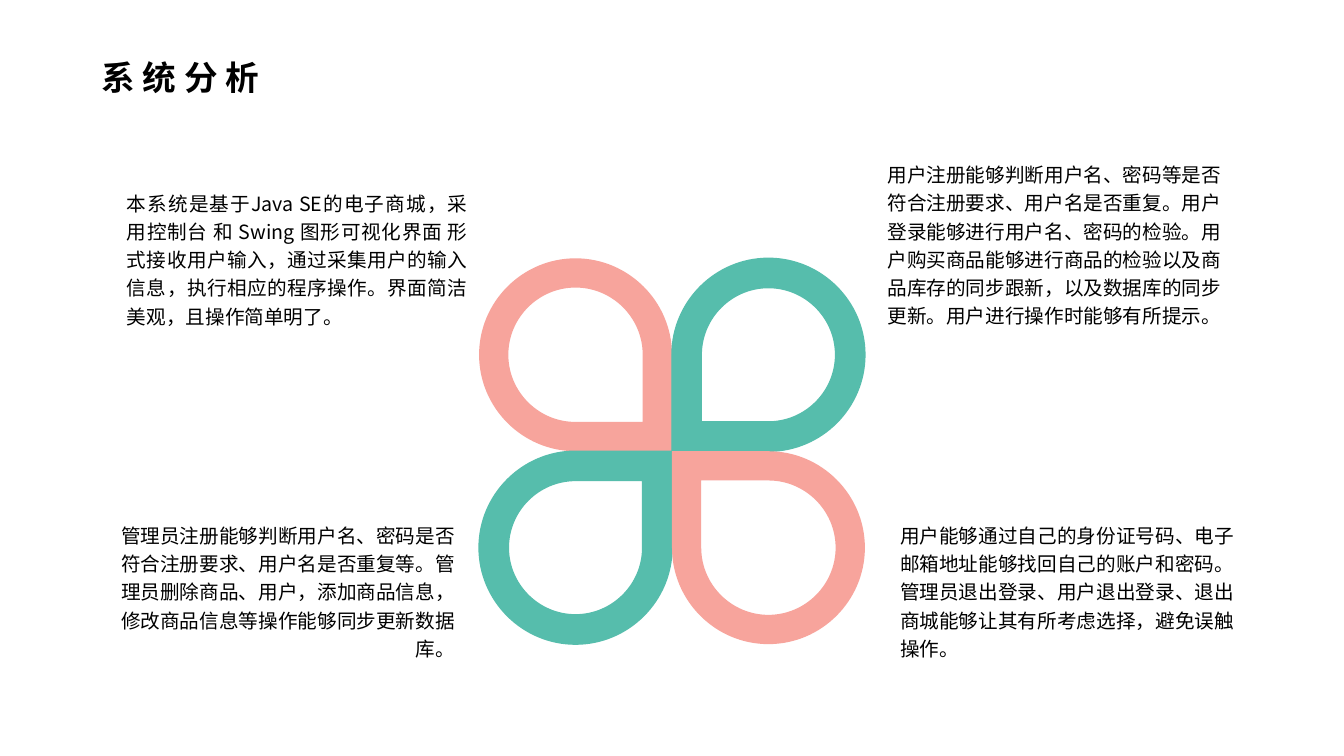
from dataclasses import dataclass

import pptx
import pptx.dml.color
import pptx.enum.shapes
import pptx.enum.text
import pptx.oxml.ns
import pptx.shapes.autoshape
import pptx.slide
import pptx.util
from lxml import etree

Pt = pptx.util.Pt
qn = pptx.oxml.ns.qn
ALIGN = pptx.enum.text.PP_ALIGN
ANCHOR = pptx.enum.text.MSO_ANCHOR
FONT = "Noto Sans CJK SC"
COLORS = {"pink": "F7A49C", "teal": "56BDAC", "text": "000000", "panel": "FFFFFF"}
CENTER_X, CENTER_Y = 480, 322.3
OUTER_RADIUS, INNER_RADIUS = 68.9, 48
# Three quarter arcs, then the corner that faces the centre
DROP_POINTS = [(0, -1), (1, 0), (0, 1), (-1, 0), (-1, -1)]
ARC_COUNT = 3
ARC_HANDLE = 0.55


@dataclass
class Petal:
    dx: int
    dy: int
    color: str
    outlined: bool = False


@dataclass
class TextBlock:
    left: float
    top: float
    width: float
    height: float
    text: str
    align: ALIGN = ALIGN.LEFT
    size: float = 14
    bold: bool = False
    spacing: float = 1.2
    inset_x: float = 8.64
    inset_y: float = 4.32
    anchor: ANCHOR = ANCHOR.TOP


PETALS = [
    Petal(-1, -1, "pink"),
    Petal(1, -1, "teal", outlined=True),
    Petal(-1, 1, "teal", outlined=True),
    Petal(1, 1, "pink"),
]

TEXTS = [
    TextBlock(65.5, 35.3, 317.5, 36.7, "系 统 分 析", size=24, bold=True,
              spacing=1.1, inset_x=7.2, inset_y=3.6, anchor=ANCHOR.MIDDLE),
    TextBlock(82, 129.2, 260.6, 108.7,
              "本系统是基于Java SE的电子商城，采用控制台 和 Swing 图形可视化界面 "
              "形式接收用户输入，通过采集用户的输入信息，执行相应的程序操作。"
              "界面简洁美观，且操作简单明了。", ALIGN.JUSTIFY),
    TextBlock(65.2, 366.5, 268.6, 108.7,
              "管理员注册能够判断用户名、密码是否符合注册要求、用户名是否重复等。"
              "管理员删除商品、用户，添加商品信息，修改商品信息等操作能够同步更新数据库。",
              ALIGN.RIGHT),
    TextBlock(625.2, 108.8, 260.6, 128.9,
              "用户注册能够判断用户名、密码等是否符合注册要求、用户名是否重复。"
              "用户登录能够进行用户名、密码的检验。用户购买商品能够进行商品的检验"
              "以及商品库存的同步跟新，以及数据库的同步更新。用户进行操作时能够有所提示。"),
    TextBlock(634.3, 366.5, 260.6, 108.7,
              "用户能够通过自己的身份证号码、电子邮箱地址能够找回自己的账户和密码。"
              "管理员退出登录、用户退出登录、退出商城能够让其有所考虑选择，避免误触操作。"),
]


def rgb(name: str) -> pptx.dml.color.RGBColor:
    return pptx.dml.color.RGBColor.from_string(COLORS[name])


def paint(sp: pptx.shapes.autoshape.Shape, color: str, outlined: bool) -> None:
    sp.shadow.inherit = False
    sp.fill.solid()
    sp.fill.fore_color.rgb = rgb(color)
    if outlined:
        sp.line.color.rgb = rgb(color)
        sp.line.width = Pt(1)
    else:
        sp.line.fill.background()


def drop_outline(petal: Petal, radius: float) -> list[tuple[int, int]]:
    x = CENTER_X + petal.dx * OUTER_RADIUS
    y = CENTER_Y + petal.dy * OUTER_RADIUS
    return [(Pt(x + petal.dx * radius * u), Pt(y + petal.dy * radius * v))
            for u, v in DROP_POINTS]


def round_arcs(sp: pptx.shapes.autoshape.Shape) -> None:
    """Turn the first segments of each contour into quarter arcs."""
    for move in list(sp._element.iter(qn("a:moveTo"))):
        segments = [move, *move.itersiblings()][:ARC_COUNT + 1]
        points = [(int(seg[0].get("x")), int(seg[0].get("y"))) for seg in segments]
        center = [(a + b) / 2 for a, b in zip(points[0], points[2])]
        for segment, start, end in zip(segments[1:], points, points[1:]):
            handles = [[a + ARC_HANDLE * (b - c) for a, b, c in zip(near, far, center)]
                       for near, far in ((start, end), (end, start))]
            curve = etree.Element(qn("a:cubicBezTo"))
            for x, y in (*handles, end):
                etree.SubElement(curve, qn("a:pt"), x=str(round(x)), y=str(round(y)))
            segment.getparent().replace(segment, curve)


def draw_petal(s: pptx.slide.Slide, petal: Petal) -> None:
    outer = drop_outline(petal, OUTER_RADIUS)
    inner = drop_outline(petal, INNER_RADIUS)
    builder = s.shapes.build_freeform(*outer[0], scale=1.0)
    builder.add_line_segments(outer[1:], close=True)
    builder.move_to(*inner[0])
    builder.add_line_segments(inner[1:], close=True)
    sp = builder.convert_to_shape()
    round_arcs(sp)
    paint(sp, petal.color, petal.outlined)


def draw_text(s: pptx.slide.Slide, block: TextBlock) -> None:
    sp = s.shapes.add_textbox(Pt(block.left), Pt(block.top),
                              Pt(block.width), Pt(block.height))
    tf = sp.text_frame
    tf.word_wrap = True
    tf.vertical_anchor = block.anchor
    tf.margin_left = tf.margin_right = Pt(block.inset_x)
    tf.margin_top = tf.margin_bottom = Pt(block.inset_y)
    p = tf.paragraphs[0]
    p.alignment = block.align
    p.line_spacing = block.spacing
    r = p.add_run()
    r.text = block.text
    r.font.name = FONT
    r.font.size = Pt(block.size)
    r.font.bold = block.bold
    r.font.color.rgb = rgb("text")
    # East Asian typeface
    ea = etree.SubElement(r.font._element, qn("a:ea"))
    ea.set("typeface", FONT)


def main() -> None:
    prs = pptx.Presentation()
    prs.slide_width, prs.slide_height = Pt(960), Pt(540)
    s = prs.slides.add_slide(prs.slide_layouts[6])

    # White panel
    panel = s.shapes.add_shape(pptx.enum.shapes.MSO_SHAPE.RECTANGLE,
                               Pt(28.8), Pt(15.1), Pt(907.2), Pt(511.9))
    paint(panel, "panel", outlined=True)

    # Four-petal flower
    for petal in PETALS:
        draw_petal(s, petal)

    # Title and descriptions
    for block in TEXTS:
        draw_text(s, block)

    prs.save("out.pptx")


if __name__ == "__main__":
    main()
